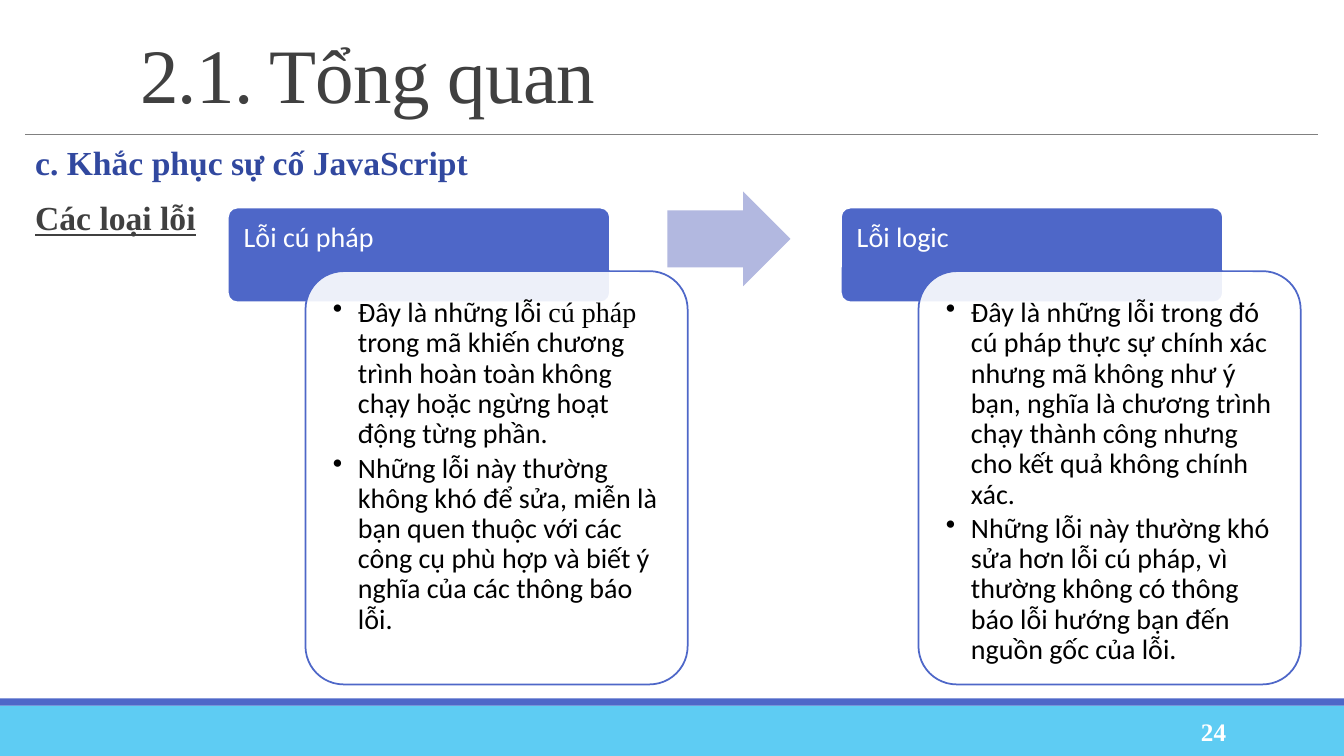
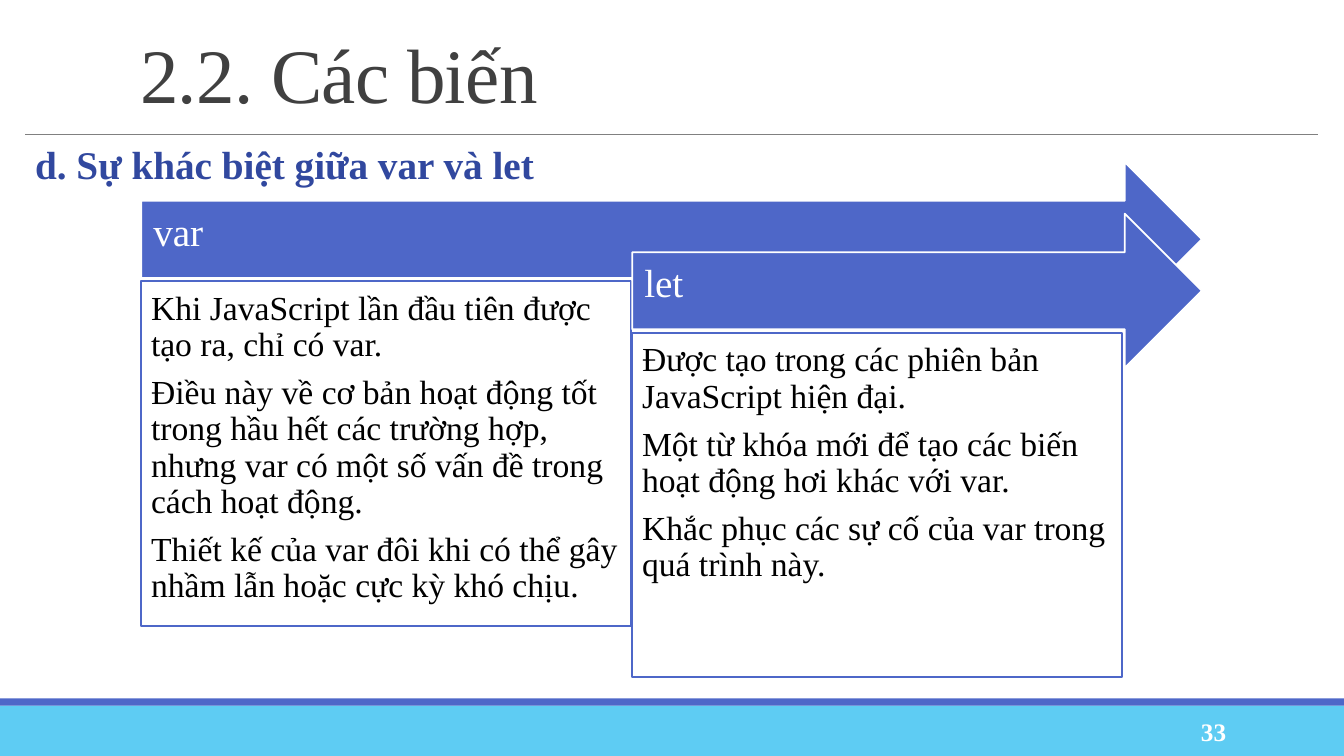
"""Builds two lecture slides on JavaScript errors and on var versus let."""
import lxml.etree
import pptx
import pptx.dml.color
import pptx.enum.shapes
import pptx.enum.text
import pptx.oxml.ns
import pptx.util
from dataclasses import dataclass


@dataclass(frozen=True)
class Theme:
    serif: str = "Times New Roman"
    sans: str = "Calibri"
    white: str = "FFFFFF"
    black: str = "000000"
    ink: str = "404040"
    heading: str = "31489F"
    blue: str = "4E67C8"
    pale: str = "B2B8E0"
    sky: str = "5ECCF3"
    rule: str = "808080"
    title_pt: int = 55
    large_pt: int = 28
    medium_pt: int = 24
    small_pt: int = 20
    number_pt: int = 18
    border_pt: float = 1.25


T = Theme()
PX = 9144
SHAPE = pptx.enum.shapes.MSO_SHAPE
ANCHOR = pptx.enum.text.MSO_ANCHOR
RGB = pptx.dml.color.RGBColor.from_string
qn = pptx.oxml.ns.qn


def add_shape(s, kind, at, fill, line=None, adj=()):
    sp = s.shapes.add_shape(kind, *[v * PX for v in at])
    sp.shadow.inherit = False
    sp.fill.solid()
    sp.fill.fore_color.rgb = RGB(fill)
    if line:
        sp.line.color.rgb = RGB(line)
        sp.line.width = pptx.util.Pt(T.border_pt)
    else:
        sp.line.fill.background()
    for i, value in enumerate(adj):
        sp.adjustments[i] = value
    return sp


def write(sp, paragraphs, size, color, font=T.serif, bold=False, ins=(10, 5, 10, 5),
          anchor=ANCHOR.TOP, spacing=0.9, after=0, bullet=False):
    tf = sp.text_frame
    tf.word_wrap = True
    tf.vertical_anchor = anchor
    tf.margin_left, tf.margin_top, tf.margin_right, tf.margin_bottom = [v * PX for v in ins]
    for i, pieces in enumerate(paragraphs):
        p = tf.paragraphs[0] if i == 0 else tf.add_paragraph()
        p.text = pieces[0]
        for piece in pieces[1:]:
            p.add_run().text = piece
        p.alignment = pptx.enum.text.PP_ALIGN.LEFT
        p.line_spacing = spacing
        if i < len(paragraphs) - 1:
            p.space_after = pptx.util.Pt(after)
        if bullet:
            pPr = p._p.get_or_add_pPr()
            pPr.set("marL", str(25 * PX))
            pPr.set("indent", str(-25 * PX))
            lxml.etree.SubElement(pPr, qn("a:buChar")).set("char", "•")
        for k, r in enumerate(p.runs):
            r.font.name = T.serif if k % 2 else font
            r.font.size = pptx.util.Pt(size)
            r.font.bold = bold
            r.font.color.rgb = RGB(color)
    return tf


prs = pptx.Presentation()
prs.slide_width = pptx.util.Emu(1333 * PX)
prs.slide_height = pptx.util.Emu(750 * PX)

pages = [
    ("2.1. Tổng quan", "24", [("c. Khắc phục sự cố JavaScript",), ("Các loại lỗi",)], T.medium_pt),
    ("2.2. Các biến", "33", [("d. Sự khác biệt giữa var và let",)], T.large_pt),
]
for title, number, headings, size in pages:
    s = prs.slides.add_slide(prs.slide_layouts[6])
    add_shape(s, SHAPE.RECTANGLE, (0, 700, 1333, 50), T.sky)
    add_shape(s, SHAPE.RECTANGLE, (0, 693, 1333, 7), T.blue)
    rule = s.shapes.add_connector(pptx.enum.shapes.MSO_CONNECTOR.STRAIGHT,
                                  25 * PX, 133 * PX, 1307 * PX, 133 * PX)
    rule.line.color.rgb = RGB(T.rule)
    rule.line.width = pptx.util.Pt(0.5)
    lxml.etree.SubElement(rule._element.spPr, qn("a:effectLst"))

    sp = s.shapes.add_textbox(*[v * PX for v in (129, 31, 1178, 96)])
    tf = write(sp, [(title,)], T.title_pt, T.ink, anchor=ANCHOR.MIDDLE, spacing=0.85)
    tf.paragraphs[0].runs[0].font._element.set("spc", "-50")

    sp = s.shapes.add_textbox(*[v * PX for v in (25, 140, 1282, 534)])
    tf = write(sp, headings, size, T.heading, bold=True, ins=(10, 5, 0, 5), after=2)
    for p in tf.paragraphs[1:]:
        p.space_before = pptx.util.Pt(12)
        p.runs[0].font.underline = True
        p.runs[0].font.color.rgb = RGB(T.ink)

    sp = s.shapes.add_textbox(*[v * PX for v in (1083, 706, 143, 40)])
    tf = write(sp, [(number,)], T.number_pt, T.white, bold=True, anchor=ANCHOR.MIDDLE, spacing=1.0)
    tf.paragraphs[0].alignment = pptx.enum.text.PP_ALIGN.RIGHT

errors_slide, variables_slide = prs.slides

errors = [
    ("Lỗi cú pháp", [
        ("Đây là những lỗi ", "cú pháp ",
         "trong mã khiến chương trình hoàn toàn không chạy hoặc ngừng hoạt động từng phần."),
        ("Những lỗi này thường không khó để sửa, miễn là bạn quen thuộc với các công cụ "
         "phù hợp và biết ý nghĩa của các thông báo lỗi.",),
    ]),
    ("Lỗi logic", [
        ("Đây là những lỗi trong đó cú pháp thực sự chính xác nhưng mã không như ý bạn, "
         "nghĩa là chương trình chạy thành công nhưng cho kết quả không chính xác.",),
        ("Những lỗi này thường khó sửa hơn lỗi cú pháp, vì thường không có thông báo lỗi "
         "hướng bạn đến nguồn gốc của lỗi.",),
    ]),
]
for i, (name, notes) in enumerate(errors):
    x = 226 + 608 * i
    sp = add_shape(errors_slide, SHAPE.ROUNDED_RECTANGLE, (x, 206, 379, 94), T.blue, T.white, [0.1])
    write(sp, [(name,)], T.small_pt, T.white, T.sans, ins=(13, 13, 13, 8))
    sp = add_shape(errors_slide, SHAPE.ROUNDED_RECTANGLE, (x + 77, 269, 379, 410),
                   T.white, T.blue, [0.1])
    fill_color = sp._element.spPr.find(qn("a:solidFill"))[0]
    lxml.etree.SubElement(fill_color, qn("a:alpha")).set("val", "90000")
    write(sp, notes, T.small_pt, T.black, T.sans, ins=(16, 16, 16, 16), after=3, bullet=True)
add_shape(errors_slide, SHAPE.RIGHT_ARROW, (662, 190, 122, 94), T.pale, adj=[0.6, 0.5])

keywords = [
    ("var", [
        ("Khi JavaScript lần đầu tiên được tạo ra, chỉ có var.",),
        ("Điều này về cơ bản hoạt động tốt trong hầu hết các trường hợp, "
         "nhưng var có một số vấn đề trong cách hoạt động.",),
        ("Thiết kế của var đôi khi có thể gây nhầm lẫn hoặc cực kỳ khó chịu.",),
    ]),
    ("let", [
        ("Được tạo trong các phiên bản JavaScript hiện đại.",),
        ("Một từ khóa mới để tạo các biến hoạt động hơi khác với var.",),
        ("Khắc phục các sự cố của var trong quá trình này.",),
    ]),
]
for i, (name, notes) in enumerate(keywords):
    x, y = 140 + 487 * i, 161 + 51 * i
    sp = add_shape(variables_slide, SHAPE.RIGHT_ARROW, (x, y, 1192 - x, 153),
                   T.blue, T.white, [0.5, 0.5])
    write(sp, [(name,)], T.large_pt, T.white, ins=(12, 12, 28, 24), anchor=ANCHOR.MIDDLE)
    sp = add_shape(variables_slide, SHAPE.RECTANGLE, (x, y + 118, 486, 342), T.white, T.blue)
    write(sp, notes, T.medium_pt, T.black, ins=(10, 10, 10, 10), after=8.4)

prs.save("out.pptx")
